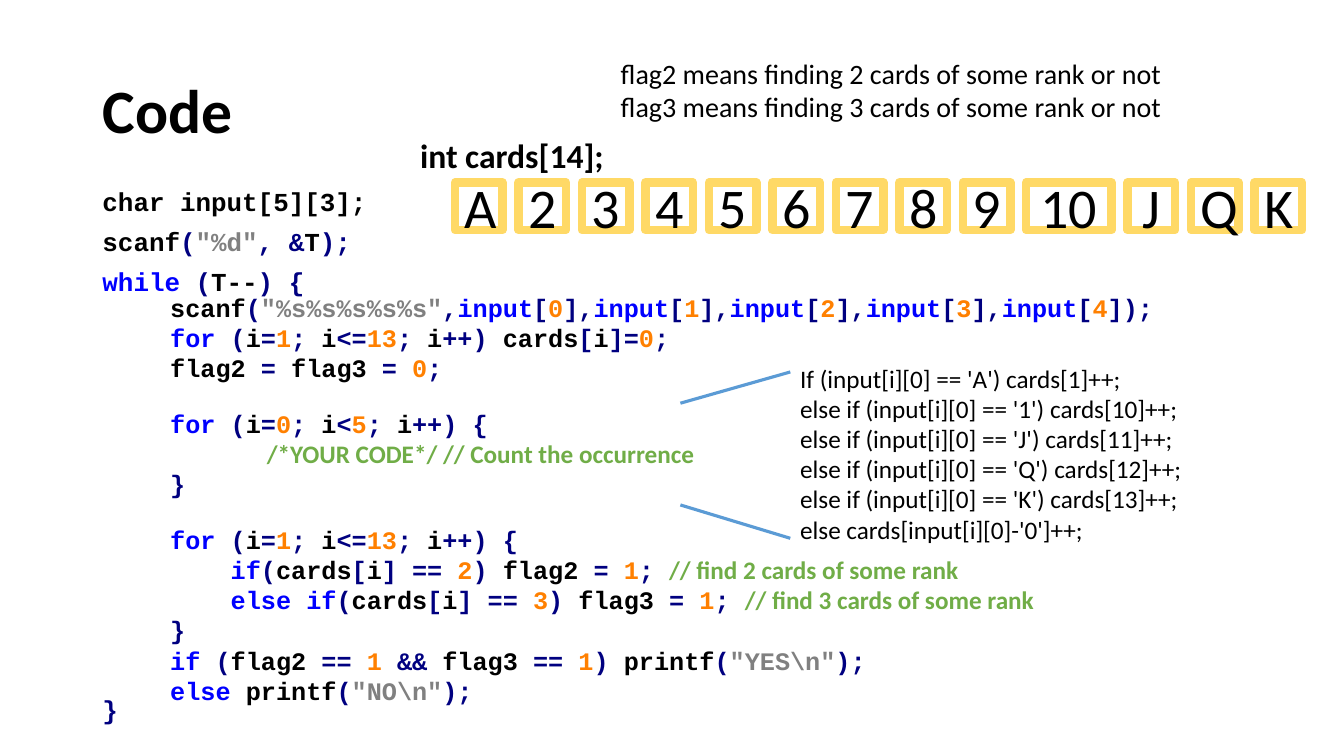
"""Build the slide that walks through the card-counting code."""
from pptx import Presentation
from pptx.dml.color import RGBColor
from pptx.enum.shapes import MSO_CONNECTOR, MSO_SHAPE
from pptx.enum.text import MSO_ANCHOR, MSO_AUTO_SIZE, PP_ALIGN
from pptx.oxml.ns import qn
from pptx.util import Pt

COLOURS = {
    "name": "000000",
    "sign": "000080",
    "key": "0000FF",
    "number": "FF8000",
    "string": "808080",
    "comment": "70AD47",
    "card": "FFD966",
    "callout": "5B9BD5",
}
NAME, SIGN, KEY, NUMBER, STRING, COMMENT = list(COLOURS)[:6]
TEXT_FONT, CODE_FONT = "Calibri", "Courier New"

TITLE = "Code"
OUTER_CODE = [
    [(NAME, "char input[5][3];")],
    [(NAME, "scanf"), (SIGN, "("), (STRING, '"%d"'), (SIGN, ", &"), (NAME, "T"), (SIGN, ");")],
    [(KEY, "while "), (SIGN, "("), (NAME, "T--"), (SIGN, ") {")],
    [(SIGN, "}")],
]
OUTER_SPACING = [0, 11, 11, 288]

LOOP_RANKS = [
    (KEY, "for "), (SIGN, "("), (NAME, "i"), (SIGN, "="), (NUMBER, "1"), (SIGN, "; "),
    (NAME, "i"), (SIGN, "<="), (NUMBER, "13"), (SIGN, "; "), (NAME, "i"),
]
LOOP_HAND = [
    (KEY, "for "), (SIGN, "("), (NAME, "i"), (SIGN, "="), (NUMBER, "0"), (SIGN, "; "),
    (NAME, "i"), (SIGN, "<"), (NUMBER, "5"), (SIGN, "; "), (NAME, "i"),
]
CARDS_AT_I = [(SIGN, "("), (NAME, "cards"), (SIGN, "["), (NAME, "i"), (SIGN, "] == ")]
INPUT_ARGUMENTS = [
    span
    for index in range(5)
    for span in [(SIGN, "]," if index else ","), (KEY, "input"), (SIGN, "["), (NUMBER, str(index))]
]
READ_CODE = [
    [(NAME, "scanf"), (SIGN, "("), (STRING, '"%s%s%s%s%s"'), *INPUT_ARGUMENTS, (SIGN, "]);")],
    [*LOOP_RANKS, (SIGN, "++)"), (NAME, " cards"), (SIGN, "["), (NAME, "i"), (SIGN, "]="),
     (NUMBER, "0"), (SIGN, ";")],
    [(NAME, "flag2 "), (SIGN, "= "), (NAME, "flag3 "), (SIGN, "= "), (NUMBER, "0"), (SIGN, ";")],
]
COUNT_CODE = [
    [*LOOP_HAND, (SIGN, "++) {")],
    [(COMMENT, "                 /*YOUR CODE*/ // Count the occurrence")],
    [(SIGN, "}")],
]
CHECK_CODE = [
    [*LOOP_RANKS, (SIGN, "++) {")],
    *[
        [(NAME, "    "), (KEY, word), *CARDS_AT_I, (NUMBER, count), (SIGN, ")"),
         (NAME, f" flag{count} "), (SIGN, "= "), (NUMBER, "1"), (SIGN, "; "),
         (COMMENT, f"// find {count} cards of some rank")]
        for word, count in [("if", "2"), ("else if", "3")]
    ],
    [(SIGN, "}")],
    [(KEY, "if "), (SIGN, "("), (NAME, "flag2 "), (SIGN, "== "), (NUMBER, "1 "), (SIGN, "&& "),
     (NAME, "flag3 "), (SIGN, "== "), (NUMBER, "1"), (SIGN, ") "), (NAME, "printf"), (SIGN, "("),
     (STRING, '"YES\\n"'), (SIGN, ");")],
    [(KEY, "else "), (NAME, "printf"), (SIGN, "("), (STRING, '"NO\\n"'), (SIGN, ");")],
]
CODE_BOXES = [(205.2, 72.7, READ_CODE), (288, 72.7, COUNT_CODE), (370.8, 160, CHECK_CODE)]

FLAG_NOTES = [
    "flag2 means finding 2 cards of some rank or not",
    "flag3 means finding 3 cards of some rank or not",
]
ANSWER = [
    "If (input[i][0] == 'A') cards[1]++;",
    "else if (input[i][0] == '1') cards[10]++;",
    "else if (input[i][0] == 'J') cards[11]++;",
    "else if (input[i][0] == 'Q') cards[12]++;",
    "else if (input[i][0] == 'K') cards[13]++;",
    "else cards[input[i][0]-'0']++;",
]
TEXT_BOXES = [
    ((436.3, 36.7, 412.6, 55.4), FLAG_NOTES, 20, False),
    ((564.5, 255.6, 340.6, 138.2), ANSWER, 18, False),
    ((293, 92.9, 147, 36), ["int cards[14];"], 24, True),
]
CALLOUT_LINES = [(486, 288, 564.5, 265.7), (486, 360.7, 564.5, 384.5)]

RANKS = ["A", "2", "3", "4", "5", "6", "7", "8", "9", "10", "J", "Q", "K"]
CARD_LEFT, CARD_TOP, CARD_SIDE, WIDE_CARD, CARD_GAP = 324.9, 130.3, 34, 61, 11.35


def colour(name):
    return RGBColor.from_string(COLOURS[name])


def points(*lengths):
    return [Pt(length) for length in lengths]


def write(para, text, size, font=TEXT_FONT, role=NAME, bold=False):
    span = para.add_run()
    span.text = text
    span.font.name, span.font.size, span.font.bold = font, Pt(size), bold
    span.font.color.rgb = colour(role)


def write_code(para, line, size):
    for role, text in line:
        write(para, text, size, TEXT_FONT if role == COMMENT else CODE_FONT, role, True)


def paragraphs(frame, lines):
    for index, line in enumerate(lines):
        yield (frame.add_paragraph() if index else frame.paragraphs[0]), line


def place(shape, left, top, width, height):
    shape.left, shape.top, shape.width, shape.height = points(left, top, width, height)


def add_box(page, area):
    frame = page.shapes.add_textbox(*points(*area)).text_frame
    frame.word_wrap = True
    frame.auto_size = MSO_AUTO_SIZE.SHAPE_TO_FIT_TEXT
    return frame


def fill_placeholders(page):
    title, body = page.placeholders[0], page.placeholders[1]
    place(title, 66, 28.8, 828, 104.4)
    title.text_frame.vertical_anchor = MSO_ANCHOR.MIDDLE
    heading = title.text_frame.paragraphs[0]
    heading.alignment, heading.line_spacing = PP_ALIGN.LEFT, 0.9
    write(heading, TITLE, 44, bold=True)

    place(body, 66, 133, 828, 404)
    body.text_frame.auto_size = MSO_AUTO_SIZE.NONE
    for (para, line), space in zip(paragraphs(body.text_frame, OUTER_CODE), OUTER_SPACING):
        properties = para._p.get_or_add_pPr()
        properties.set("marL", "0")
        properties.set("indent", "0")
        properties.append(properties.makeelement(qn("a:buNone"), {}))
        para.line_spacing, para.space_before = 0.8, Pt(space)
        write_code(para, line, 18.5)


def add_cards(page):
    left = CARD_LEFT
    for rank in RANKS:
        width = WIDE_CARD if len(rank) > 1 else CARD_SIDE
        area = points(left, CARD_TOP, width, CARD_SIDE)
        card = page.shapes.add_shape(MSO_SHAPE.RECTANGLE, *area)
        card.shadow.inherit = False
        card.fill.background()
        card.line.color.rgb, card.line.width = colour("card"), Pt(6)
        card.text_frame.vertical_anchor = MSO_ANCHOR.MIDDLE
        para = card.text_frame.paragraphs[0]
        para.alignment = PP_ALIGN.CENTER
        write(para, rank, 40)
        left += width + CARD_GAP


def main():
    deck = Presentation()
    deck.slide_width, deck.slide_height = points(960, 540)
    page = deck.slides.add_slide(deck.slide_layouts[1])
    fill_placeholders(page)
    for top, height, lines in CODE_BOXES:
        for para, line in paragraphs(add_box(page, (114.5, top, 742.3, height)), lines):
            write_code(para, line, 18)
    for area, lines, size, bold in TEXT_BOXES:
        for para, line in paragraphs(add_box(page, area), lines):
            write(para, line, size, bold=bold)
    for ends in CALLOUT_LINES:
        line = page.shapes.add_connector(MSO_CONNECTOR.STRAIGHT, *points(*ends))
        line.line.color.rgb, line.line.width = colour("callout"), Pt(2.25)
        properties = line._element.spPr
        properties.append(properties.makeelement(qn("a:effectLst"), {}))
    add_cards(page)
    deck.save("out.pptx")


if __name__ == "__main__":
    main()
